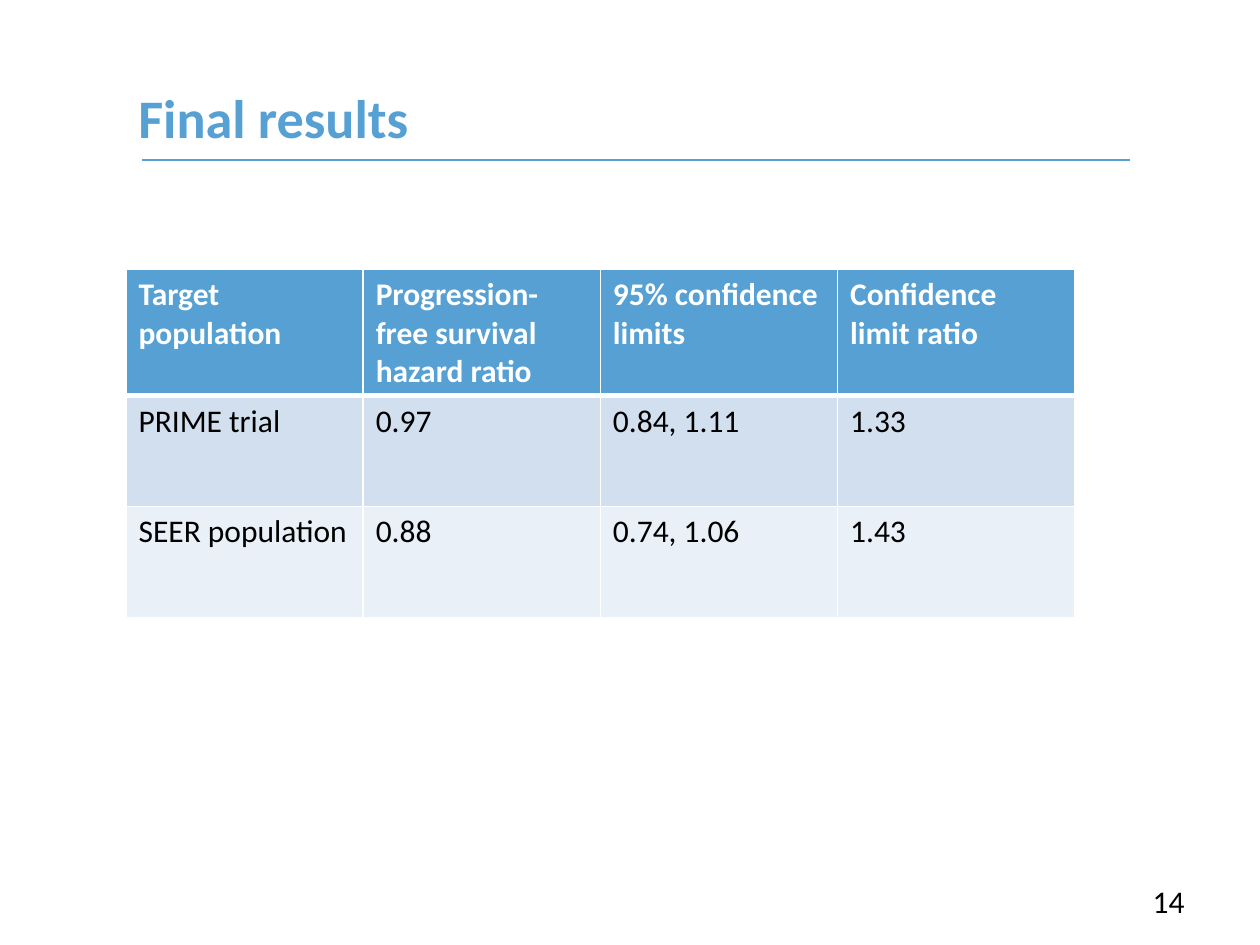
from lxml.etree import SubElement
from pptx import Presentation
from pptx.dml.color import RGBColor
from pptx.enum.shapes import MSO_CONNECTOR
from pptx.enum.text import MSO_ANCHOR, PP_ALIGN
from pptx.oxml.ns import qn
from pptx.util import Inches, Pt

BLUE = RGBColor(0x56, 0xA0, 0xD3)
WHITE = RGBColor(0xFF, 0xFF, 0xFF)
BLACK = RGBColor(0x00, 0x00, 0x00)
ROW_FILLS = [BLUE, RGBColor(0xD1, 0xDF, 0xEF), RGBColor(0xE9, 0xF0, 0xF7)]


def style(p, size, color, bold=False):
    for r in p.runs:
        r.font.name = "Calibri"
        r.font.size = Pt(size)
        r.font.bold = bold
        r.font.color.rgb = color


def set_border(cell, side, width):
    ln = SubElement(cell._tc.get_or_add_tcPr(), qn("a:ln" + side), w=str(Pt(width)))
    fill = SubElement(ln, qn("a:solidFill"))
    SubElement(fill, qn("a:srgbClr"), val=str(WHITE))


prs = Presentation()
prs.slide_width, prs.slide_height = Inches(10), Inches(7.5)
s = prs.slides.add_slide(prs.slide_layouts[6])

# Rule under the title
rule = s.shapes.add_connector(
    MSO_CONNECTOR.STRAIGHT, Inches(1.13), Inches(1.27), Inches(8.97), Inches(1.27))
rule.line.color.rgb = BLUE
rule.line.width = Pt(0.75)
SubElement(rule._element.spPr, qn("a:effectLst"))

# Title
title = s.shapes.add_textbox(Inches(1), Inches(0.3), Inches(8.5), Inches(1.25))
tf = title.text_frame
tf.word_wrap = True
tf.vertical_anchor = MSO_ANCHOR.MIDDLE
tf.text = "Final results"
style(tf.paragraphs[0], 31, BLUE, bold=True)

# Results table
rows = [
    ["Target population", "Progression-free survival hazard ratio",
     "95% confidence limits", "Confidence limit ratio"],
    ["PRIME trial", "0.97", "0.84, 1.11", "1.33"],
    ["SEER population", "0.88", "0.74, 1.06", "1.43"],
]
table = s.shapes.add_table(
    len(rows), len(rows[0]), Inches(1), Inches(2.14), Inches(7.53), Inches(2.76)).table
for row, height in zip(table.rows, [1, 0.88, 0.88]):
    row.height = Inches(height)
for i, values in enumerate(rows):
    header = i == 0
    for j, value in enumerate(values):
        cell = table.cell(i, j)
        cell.text = value
        style(cell.text_frame.paragraphs[0], 18, WHITE if header else BLACK, header)
        for side in "LRTB":
            thick = (header and side == "B") or (i == 1 and side == "T")
            set_border(cell, side, 3 if thick else 1)
        cell.fill.solid()
        cell.fill.fore_color.rgb = ROW_FILLS[i]

# Page number
number = s.shapes.add_textbox(Inches(7.17), Inches(6.95), Inches(2.33), Inches(0.4))
tf = number.text_frame
tf.word_wrap = True
tf.text = "14"
tf.paragraphs[0].alignment = PP_ALIGN.RIGHT
style(tf.paragraphs[0], 18, BLACK)

prs.save("out.pptx")
